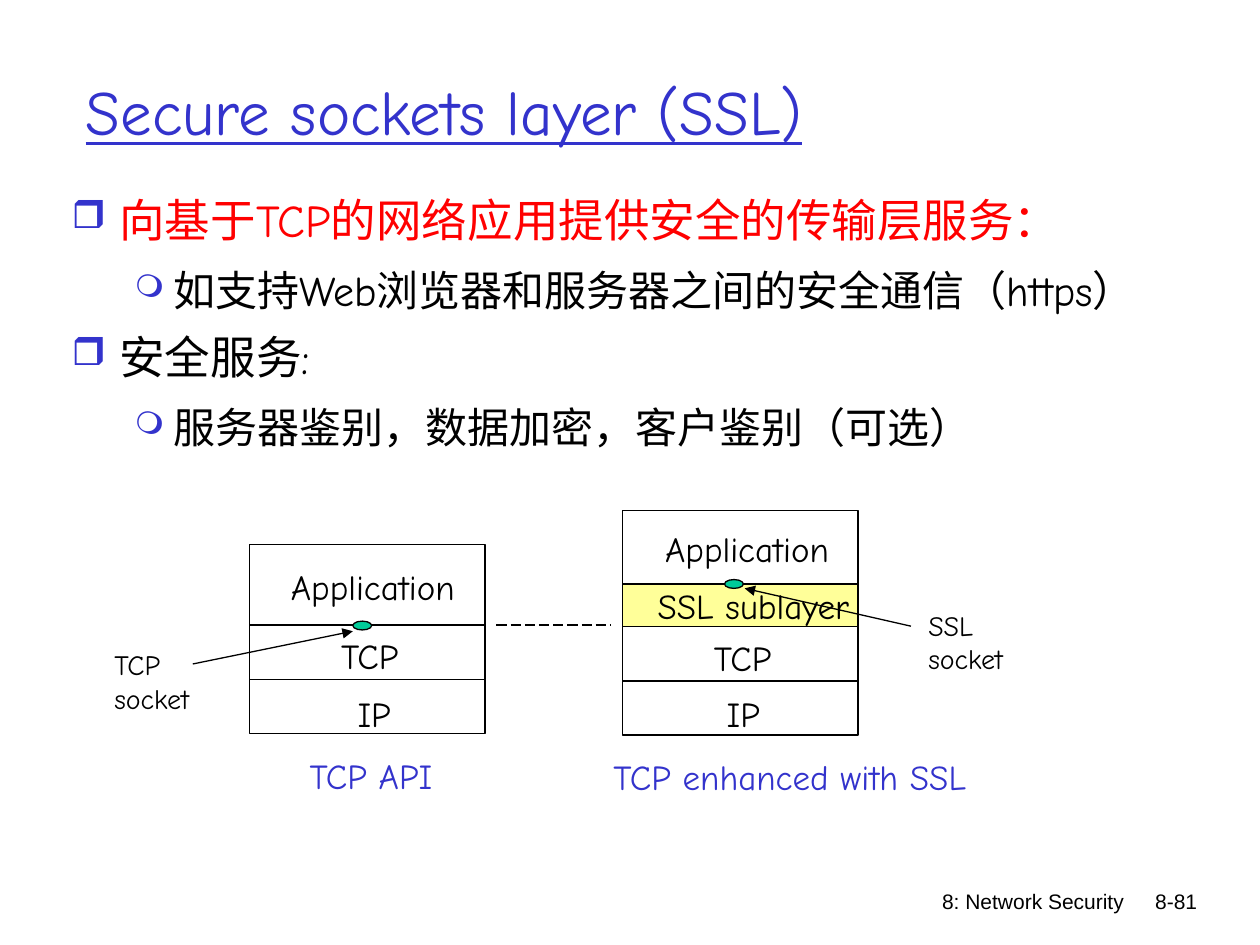
from lxml import etree
from pptx import Presentation
from pptx import util as u
from pptx.dml.color import RGBColor
from pptx.enum import dml, shapes, text
from pptx.oxml import ns

# The slide is a grid of 100 columns by 75 rows.
COLUMN = u.Inches(10) // 100
ROW = u.Inches(7.5) // 75

BLUE = RGBColor(0x33, 0x33, 0xCC)
RED = RGBColor(0xFF, 0x00, 0x00)
BLACK = RGBColor(0x00, 0x00, 0x00)
YELLOW = RGBColor(0xFF, 0xFF, 0x99)
GREEN = RGBColor(0x00, 0xCC, 0x99)

HAND = "Comic Neue"
PLAIN = "Arial"
LEFT, CENTER, RIGHT = (text.PP_ALIGN.LEFT, text.PP_ALIGN.CENTER,
                       text.PP_ALIGN.RIGHT)
LAYER_WIDTH = 18.7

# Bullet character, its size in percent, text indent and hanging in inches
BULLETS = (("❒", 85, 0.38, 0.38), ("❍", 75, 0.81, 0.31))

# Level, text, size, colour, space before
POINTS = (
    (0, "向基于TCP的网络应用提供安全的传输层服务：", 26, RED, 0),
    (1, "如支持Web浏览器和服务器之间的安全通信（https）", 24, BLACK, 6),
    (0, "安全服务:", 26, BLACK, 6.5),
    (1, "服务器鉴别，数据加密，客户鉴别（可选）", 24, BLACK, 6),
)

# Label, height, fill, label centre, label top
TCP_LAYERS = (
    ("Application", 6.4, None, 29.6, 44.4),
    ("TCP", 4.35, None, 29.35, 49.9),
    ("IP", 4.3, None, 29.7, 54.5),
)
SSL_LAYERS = (
    ("Application", 5.85, None, 59.3, 41.4),
    ("SSL sublayer", 3.4, YELLOW, 59.8, 45.9),
    ("TCP", 4.3, None, 58.95, 50),
    ("IP", 4.3, None, 59, 54.5),
)


def place(columns, rows):
    return round(columns * COLUMN), round(rows * ROW)


def add_span(para, words, size, color, font=HAND):
    span = para.add_run()
    span.text = words
    span.font.size = u.Pt(size)
    span.font.name = font
    span.font.color.rgb = color
    return span


def add_text(page, at, size, lines, color=BLACK, font=HAND, align=LEFT,
             wrap=True):
    box = page.shapes.add_textbox(*place(*at[:2]), *place(*at[2:]))
    frame = box.text_frame
    frame.word_wrap = wrap
    for number, words in enumerate(lines):
        para = frame.add_paragraph() if number else frame.paragraphs[0]
        para.alignment = align
        add_span(para, words, size, color, font)


def add_label(page, center, top, words, color=BLACK, width=20):
    """Add one centred line of diagram text."""
    add_text(page, (center - width / 2, top, width, 4.4), 20, [words], color,
             align=CENTER)


def add_figure(page, kind, at, fill=None):
    figure = page.shapes.add_shape(kind, *place(*at[:2]), *place(*at[2:]))
    figure.shadow.inherit = False
    if fill is None:
        figure.fill.background()
    else:
        figure.fill.solid()
        figure.fill.fore_color.rgb = fill
    figure.line.color.rgb = BLACK
    figure.line.width = u.Pt(0.75)


def add_stack(page, left, top, layers):
    """Add protocol layers downwards, each directly under the one before."""
    for label, height, fill, center, label_top in layers:
        add_figure(page, shapes.MSO_SHAPE.RECTANGLE,
                   (left, top, LAYER_WIDTH, height), fill)
        add_label(page, center, label_top, label)
        top += height


def add_socket(page, left, top):
    add_figure(page, shapes.MSO_SHAPE.OVAL, (left, top, 1.5, 0.7), GREEN)


def add_line(page, start, end, arrow=False):
    """Add an arrow, or a dashed line where there is no arrowhead."""
    line = page.shapes.add_connector(shapes.MSO_CONNECTOR.STRAIGHT,
                                     *place(*start), *place(*end))
    line.line.color.rgb = BLACK
    line.line.width = u.Pt(0.75)
    if arrow:
        etree.SubElement(line.line._get_or_add_ln(), ns.qn("a:tailEnd"),
                         type="triangle")
    else:
        line.line.dash_style = dml.MSO_LINE.LONG_DASH
    etree.SubElement(line._element.spPr, ns.qn("a:effectLst"))


def set_bullet(para, level):
    mark, percent, indent, hanging = BULLETS[level]
    para.level = level
    props = para._p.get_or_add_pPr()
    props.set("marL", str(u.Inches(indent)))
    props.set("indent", str(-u.Inches(hanging)))
    color = etree.SubElement(props, ns.qn("a:buClr"))
    etree.SubElement(color, ns.qn("a:srgbClr"), val=str(BLUE))
    etree.SubElement(props, ns.qn("a:buSzPct"), val=str(percent * 1000))
    etree.SubElement(props, ns.qn("a:buChar"), char=mark)


def add_points(page):
    box = page.shapes.add_textbox(*place(4.7, 14.5), *place(92.2, 22.1))
    frame = box.text_frame
    frame.word_wrap = True
    for number, (level, words, size, color, before) in enumerate(POINTS):
        para = frame.add_paragraph() if number else frame.paragraphs[0]
        para.line_spacing = u.Pt(33)
        para.space_before = u.Pt(before)
        set_bullet(para, level)
        add_span(para, words, size, color)


def set_title(page, words):
    title = page.shapes.title
    title.left, title.top = place(5.8, 2.5)
    title.width, title.height = place(85, 12.5)
    frame = title.text_frame
    frame.auto_size = text.MSO_AUTO_SIZE.NONE
    frame.vertical_anchor = text.MSO_ANCHOR.MIDDLE
    para = frame.paragraphs[0]
    para.alignment = LEFT
    add_span(para, words, 36, BLUE).font.underline = True


def main():
    deck = Presentation()
    deck.slide_width, deck.slide_height = place(100, 75)
    page = deck.slides.add_slide(deck.slide_layouts[5])

    set_title(page, "Secure sockets layer (SSL)")
    add_points(page)

    add_stack(page, 19.8, 43.2, TCP_LAYERS)
    add_label(page, 29.45, 59.4, "TCP API", BLUE)
    add_socket(page, 28, 49.3)
    add_text(page, (8.1, 50.9, 11.4, 6.4), 16, ["TCP", "socket"])
    add_line(page, (15.3, 52.7), (28, 50.1), arrow=True)

    add_stack(page, 49.4, 40.5, SSL_LAYERS)
    add_label(page, 62.7, 59.5, "TCP enhanced with SSL", BLUE, width=36)
    add_socket(page, 57.5, 46)
    add_text(page, (72.7, 47.8, 8, 6.4), 16, ["SSL", "socket"], wrap=False)
    add_line(page, (72.3, 49.7), (59.1, 46.7), arrow=True)

    add_line(page, (39.4, 49.6), (48.5, 49.6))
    add_text(page, (58.5, 70, 31.7, 5), 12, ["8: Network Security"],
             font=PLAIN, align=RIGHT)
    add_text(page, (88, 70, 8, 3.2), 12, ["8-81"], font=PLAIN, align=RIGHT)

    deck.save("out.pptx")


if __name__ == "__main__":
    main()
